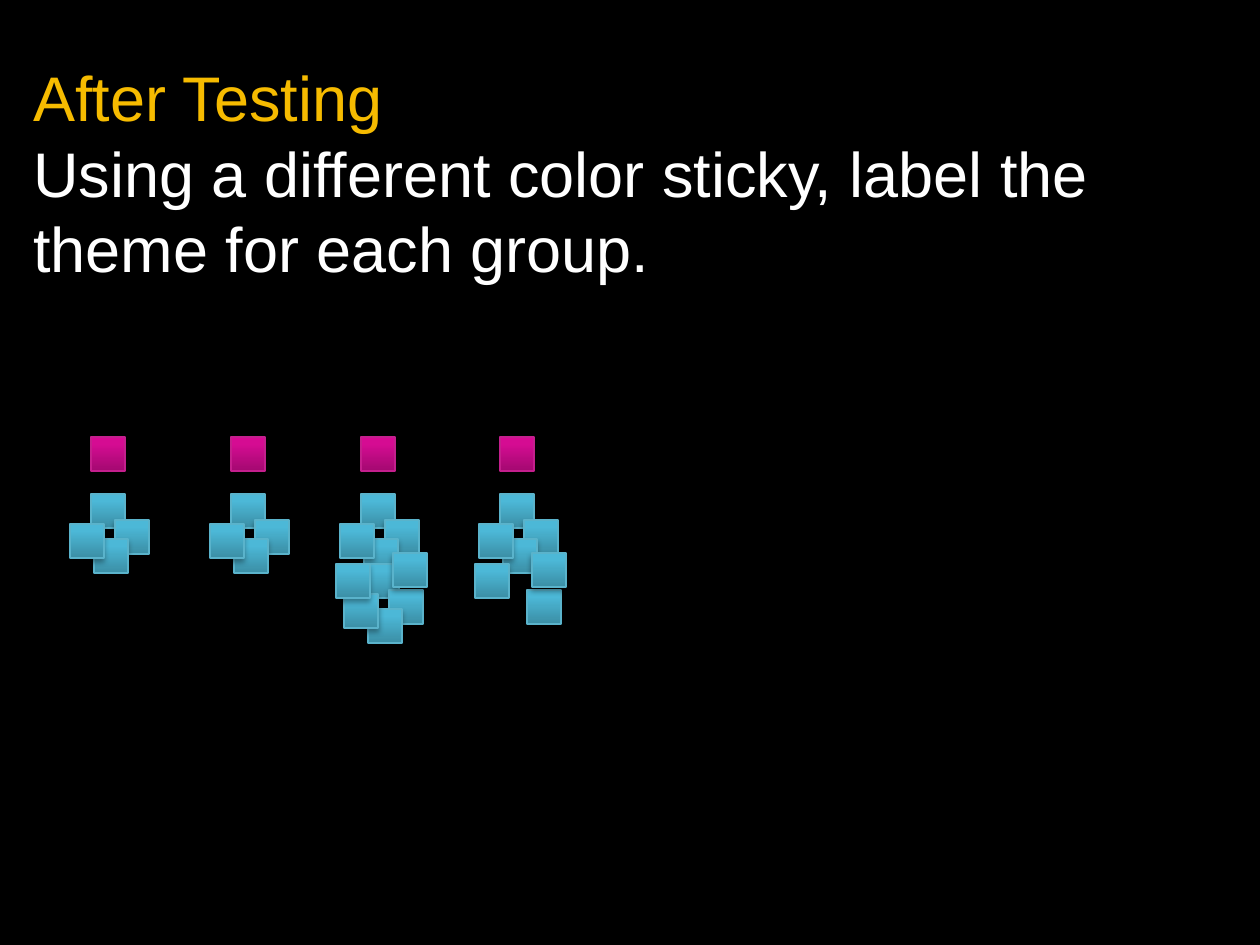
import copy

from lxml import etree
from pptx import Presentation
from pptx import util as u
from pptx.dml import color
from pptx.enum import shapes, text
from pptx.oxml import ns

PX = 914400 / 126  # EMU in one px
NOTE = 34  # side of a sticky note

BLUE = {"stops": [(0, "3B8EA5"), (0.8, "4CB8D7"), (1, "4ABBDA")], "line": "5AB3CB"}
PINK = {"stops": [(0, "A40971"), (0.8, "D50C92"), (1, "DA0894")], "line": "C41F8D"}

SHADOW = (
    f'<a:effectLst {ns.nsdecls("a")}>'
    f'<a:outerShdw blurRad="{u.Pt(3.1)}" dist="{u.Pt(1.8)}" dir="5400000" rotWithShape="0">'
    '<a:srgbClr val="000000"><a:alpha val="35000"/></a:srgbClr>'
    "</a:outerShdw></a:effectLst>"
)


def px(n):
    return u.Emu(round(n * PX))


def rgb(value):
    return color.RGBColor.from_string(value)


class Deck:
    font = {"name": "Arial", "size": u.Pt(36)}
    line_spacing = u.Pt(43)

    def __init__(self, prs):
        self.s = prs.slides.add_slide(prs.slide_layouts[6])

    def background(self, value):
        fill = self.s.background.fill
        fill.solid()
        fill.fore_color.rgb = rgb(value)

    def textbox(self, x, y, w, h, lines):
        tf = self.s.shapes.add_textbox(*map(px, (x, y, w, h))).text_frame
        frame = {"word_wrap": True, "auto_size": text.MSO_AUTO_SIZE.NONE,
                 "vertical_anchor": text.MSO_ANCHOR.TOP}
        for name, value in frame.items():
            setattr(tf, name, value)
        for i, (words, value) in enumerate(lines):
            p = tf.add_paragraph() if i else tf.paragraphs[0]
            p.line_spacing = self.line_spacing
            r = p.add_run()
            r.text = words
            for name, setting in self.font.items():
                setattr(r.font, name, setting)
            r.font.color.rgb = rgb(value)

    def note(self, x, y, style):
        sp = self.s.shapes.add_shape(
            shapes.MSO_SHAPE.RECTANGLE, *map(px, (x, y, NOTE, NOTE)))
        sp.line.color.rgb = rgb(style["line"])
        sp.line.width = u.Pt(0.75)

        # Three-stop gradient, running upwards
        sp.fill.gradient()
        sp.fill.gradient_angle = 90
        stop_list = sp._element.spPr.find(".//" + ns.qn("a:gsLst"))
        stop_list.append(copy.deepcopy(stop_list[0]))
        for stop, (position, value) in zip(sp.fill.gradient_stops, style["stops"]):
            stop.position = position
            stop.color.rgb = rgb(value)

        sp._element.spPr.append(etree.fromstring(SHADOW))


def main():
    prs = Presentation()
    prs.slide_width, prs.slide_height = px(1260), px(945)
    deck = Deck(prs)
    deck.background("000000")

    # Heading and instruction
    deck.textbox(21, 53, 1139, 84, [
        ("After Testing", "F6BB00"),
        ("Using a different color sticky, label the theme for each group.", "FFFFFF"),
    ])

    # Groups of notes: column left, then offsets from the top note
    ring = [(0, 0), (24, 26), (3, 45), (-21, 30)]
    lower_ring = [(x + 4, y + 70) for x, y in ring]
    sides = [(32, 59), (-25, 70)]
    groups = {
        91: ring,
        231: ring,
        361: ring + lower_ring + sides,
        500: ring + [(27, 96)] + sides,
    }
    for left, offsets in groups.items():
        for dx, dy in offsets:
            deck.note(left + dx, 494 + dy, BLUE)

    # Theme label above each group
    for left in groups:
        deck.note(left, 437, PINK)

    prs.save("out.pptx")


if __name__ == "__main__":
    main()
